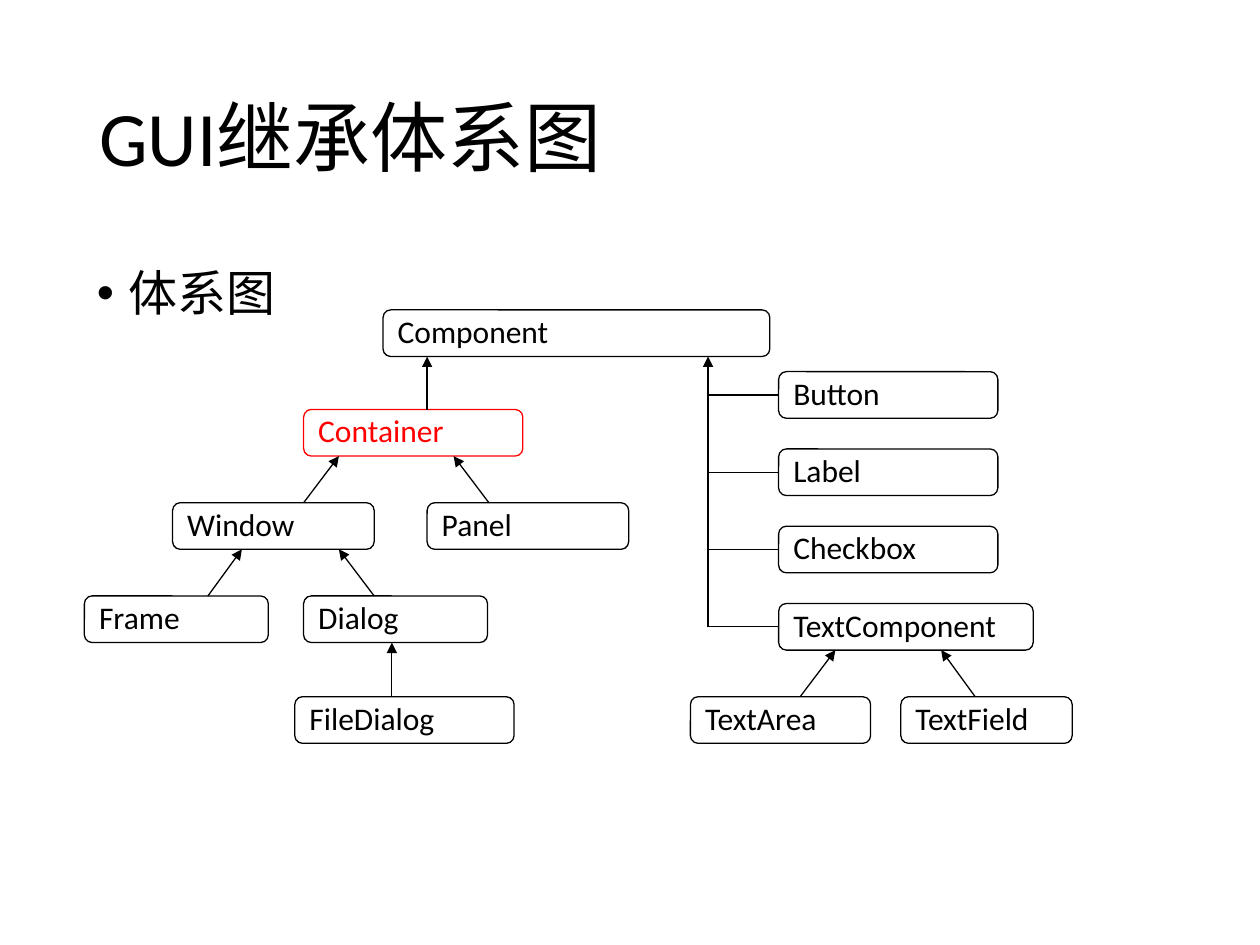
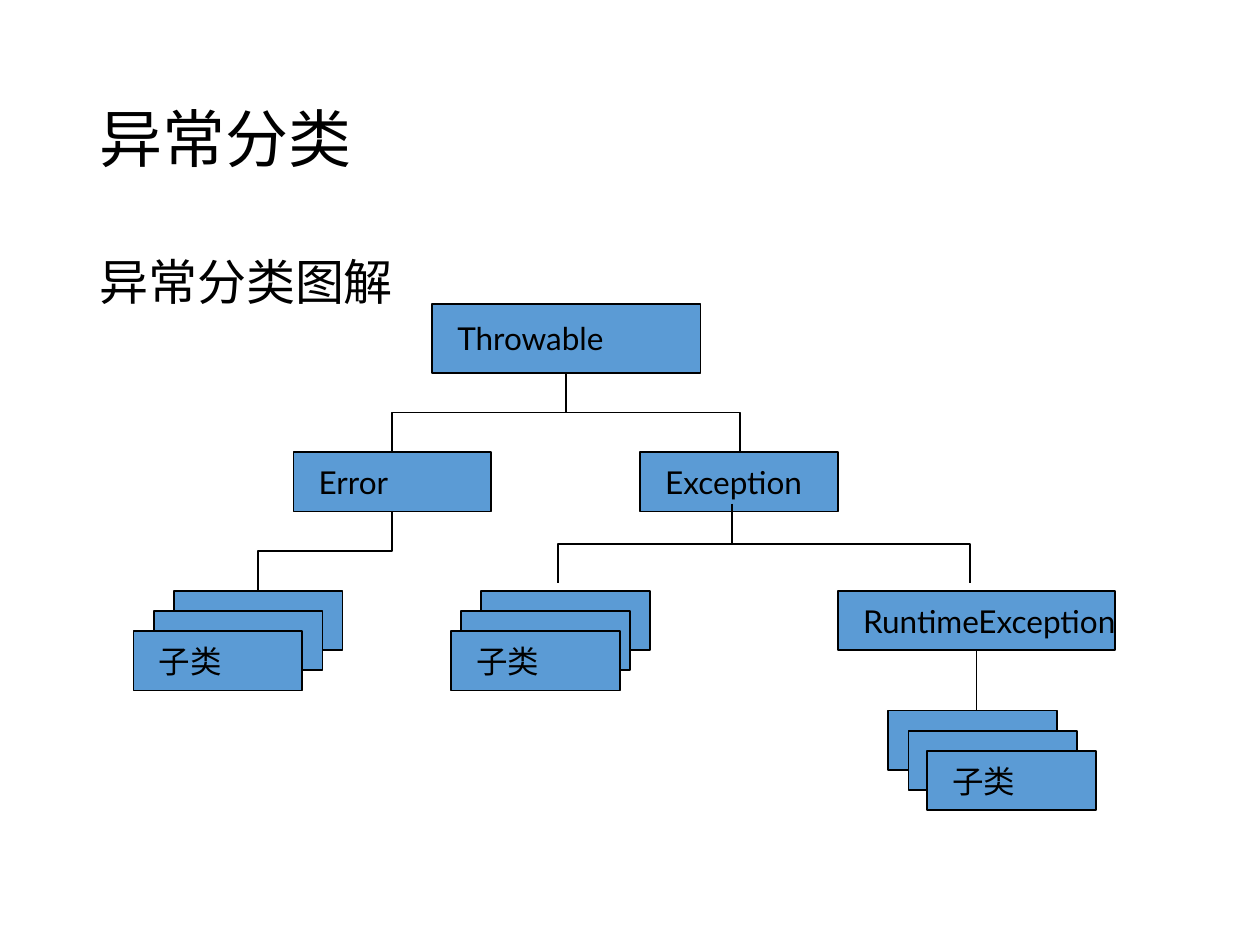
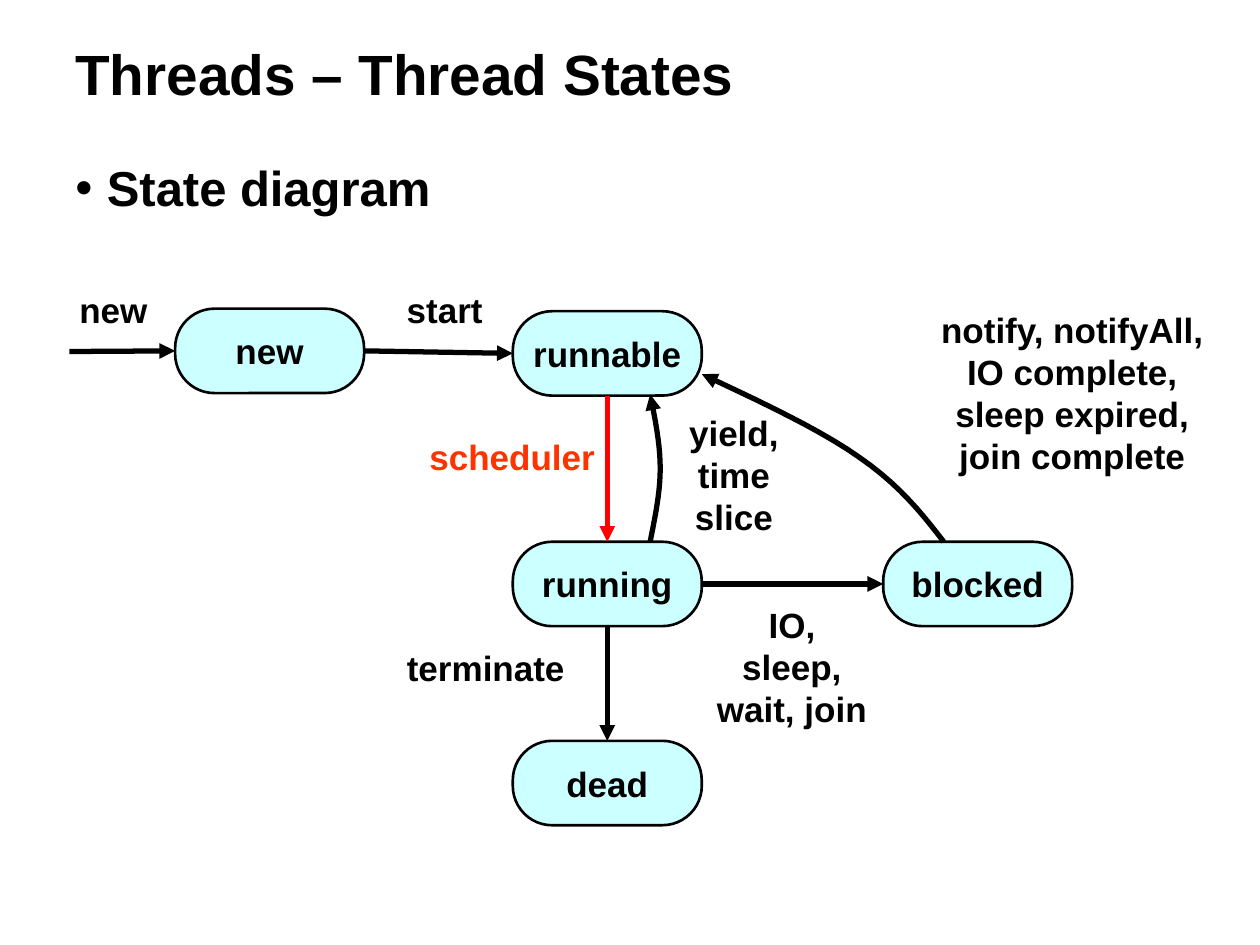
from dataclasses import dataclass
from typing import Any

from lxml.etree import SubElement
from pptx import Presentation
from pptx.dml.color import RGBColor
from pptx.enum.shapes import MSO_CONNECTOR, MSO_SHAPE
from pptx.enum.text import MSO_ANCHOR, PP_ALIGN
from pptx.oxml.ns import qn
from pptx.util import Inches, Pt

BLACK = RGBColor(0x00, 0x00, 0x00)
RED = RGBColor(0xFF, 0x00, 0x00)
ORANGE_RED = RGBColor(0xFF, 0x33, 0x00)
BLUE = RGBColor(0x5B, 0x9B, 0xD5)
PALE_CYAN = RGBColor(0xCC, 0xFF, 0xFF)

TOP, LEFT, BOTTOM, RIGHT = range(4)


@dataclass
class Region:
    """A part of a slide whose contents are placed from its top left corner."""

    slide: Any
    left: float
    top: float

    def spot(self, x, y):
        """Turn a place in the region, in inches, into a place on the slide."""
        return Inches(self.left + x), Inches(self.top + y)


def write(shape, lines, font, size, color=BLACK, bold=False, align=PP_ALIGN.LEFT,
          anchor=MSO_ANCHOR.MIDDLE, wrap=False, spacing=None, before=None):
    """Fill a shape with one paragraph per line."""
    frame = shape.text_frame
    frame.word_wrap = wrap
    frame.vertical_anchor = anchor
    for index, line in enumerate(lines):
        paragraph = frame.add_paragraph() if index else frame.paragraphs[0]
        paragraph.alignment = align
        paragraph.line_spacing = spacing
        paragraph.space_before = before
        run = paragraph.add_run()
        run.text = line
        run.font.name = font
        run.font.size = Pt(size)
        run.font.bold = bold
        run.font.color.rgb = color


def add_box(region, preset, box, fill, line_color, line_width):
    """Draw a preset shape at (left, top, width, height) in the region."""
    x, y, width, height = box
    shape = region.slide.shapes.add_shape(
        preset, *region.spot(x, y), Inches(width), Inches(height))
    shape.shadow.inherit = False
    if fill is None:
        shape.fill.background()
    else:
        shape.fill.solid()
        shape.fill.fore_color.rgb = fill
    shape.line.color.rgb = line_color
    shape.line.width = Pt(line_width)
    return shape


def style_line(stroke, width, color=BLACK, arrow=False):
    """Set colour, width and arrowhead of a connector or curve."""
    stroke.line.color.rgb = color
    stroke.line.width = Pt(width)
    properties = stroke.element.spPr
    if arrow:
        SubElement(properties.find(qn("a:ln")), qn("a:tailEnd"), type="triangle")
    if properties.find(qn("a:effectLst")) is None:
        SubElement(properties, qn("a:effectLst"))


def add_line(region, start, end, width, color=BLACK, arrow=False):
    """Draw a straight line; an end is a point or a (shape, side) pair."""
    places = [(0, 0) if hasattr(place[0], "shape_id") else region.spot(*place)
              for place in (start, end)]
    line = region.slide.shapes.add_connector(
        MSO_CONNECTOR.STRAIGHT, *places[0], *places[1])
    for place, join in ((start, line.begin_connect), (end, line.end_connect)):
        if hasattr(place[0], "shape_id"):
            join(*place)
    style_line(line, width, color, arrow)


def add_drop(region, start, end):
    """Draw an elbow that leaves downwards and arrives downwards."""
    (x1, y1), (x2, y2) = start, end
    middle_x, middle_y = (x1 + x2) / 2, (y1 + y2) / 2
    half_run = abs(x2 - x1) / 2
    half_fall = (y2 - y1) / 2 * (-1 if x2 > x1 else 1)
    elbow = region.slide.shapes.add_connector(
        MSO_CONNECTOR.ELBOW,
        *region.spot(middle_x - half_fall, middle_y - half_run),
        *region.spot(middle_x + half_fall, middle_y + half_run))
    quarter_turns = 3 if x2 > x1 else 1
    elbow.element.spPr.find(qn("a:xfrm")).set("rot", str(quarter_turns * 5400000))
    style_line(elbow, 1)


def bezier(p0, p1, p2, p3, steps=10):
    """List the points of a cubic curve after its start."""
    points = []
    for step in range(1, steps + 1):
        t = step / steps
        weights = ((1 - t) ** 3, 3 * t * (1 - t) ** 2, 3 * t * t * (1 - t), t ** 3)
        points.append(tuple(sum(w * p[axis] for w, p in zip(weights, (p0, p1, p2, p3)))
                            for axis in (0, 1)))
    return points


def add_curved_arrow(region, knots):
    """Draw an arrow along two joined cubic curves."""
    points = bezier(*knots[:4]) + bezier(*knots[3:])
    builder = region.slide.shapes.build_freeform(*region.spot(*knots[0]), scale=1.0)
    builder.add_line_segments([region.spot(*point) for point in points], close=False)
    curve = builder.convert_to_shape()
    curve.shadow.inherit = False
    curve.fill.background()
    style_line(curve, 3, arrow=True)


def add_heading(slide, box, text, font, size, bold=False):
    """Write the slide title."""
    title = slide.shapes.add_textbox(*map(Inches, box))
    write(title, [text], font, size, bold=bold, wrap=True, spacing=0.9)


def add_lead(slide, box, text, font, bold=False, bullet=True):
    """Write the line that introduces the diagram."""
    lead = slide.shapes.add_textbox(*map(Inches, box))
    write(lead, [text], font, 28, bold=bold, anchor=MSO_ANCHOR.TOP, wrap=True,
          spacing=0.9, before=Pt(10))
    if bullet:
        properties = lead.text_frame.paragraphs[0]._p.get_or_add_pPr()
        properties.set("marL", str(Inches(0.25)))
        properties.set("indent", str(-Inches(0.25)))
        SubElement(properties, qn("a:buFont"), typeface="Arial")
        SubElement(properties, qn("a:buChar"), char="•")


def draw_gui_hierarchy(region):
    """Draw the inheritance tree of the GUI classes."""
    def add_class(name, x, y, width, color=BLACK):
        """Draw one class box."""
        shape = add_box(region, MSO_SHAPE.ROUNDED_RECTANGLE, (x, y, width, 0.37),
                        None, color, 0.75)
        write(shape, [name], "Calibri", 18, color, spacing=0.9, before=Pt(4))
        return shape

    add_class("Component", 2.37, 0, 3.07)
    add_class("Container", 1.74, 0.79, 1.74, RED)
    for name, x, y, width in (
            ("Window", 0.7, 1.53, 1.6), ("Panel", 2.72, 1.53, 1.6),
            ("Frame", 0, 2.27, 1.46), ("Dialog", 1.74, 2.27, 1.46),
            ("FileDialog", 1.67, 3.07, 1.74),
            ("TextArea", 4.81, 3.07, 1.43), ("TextField", 6.48, 3.07, 1.36)):
        add_class(name, x, y, width)

    trunk_x = 4.95
    widgets = (("Button", 1.74), ("Label", 1.74), ("Checkbox", 1.74),
               ("TextComponent", 2.02))
    for row, (name, width) in enumerate(widgets):
        y = 0.49 + 1.84 * row / 3
        widget = add_class(name, 5.51, y, width)
        add_line(region, (trunk_x, y + 0.37 / 2), (widget, LEFT), 0.75)

    for start, end in (
            ((trunk_x, 2.52), (trunk_x, 0.37)), ((2.72, 0.79), (2.72, 0.37)),
            ((1.74, 1.53), (2.02, 1.16)), ((3.21, 1.53), (2.93, 1.16)),
            ((0.98, 2.27), (1.25, 1.9)), ((2.3, 2.27), (2.02, 1.9)),
            ((2.44, 3.07), (2.44, 2.64)),
            ((5.68, 3.07), (5.96, 2.7)), ((7.07, 3.07), (6.8, 2.7))):
        add_line(region, start, end, 0.75, arrow=True)


def draw_exception_tree(region):
    """Draw the classification of throwable classes."""
    def add_class(name, x, y, width, height=0.47):
        """Draw one class box, blank when it has no name."""
        shape = add_box(region, MSO_SHAPE.RECTANGLE, (x, y, width, height),
                        BLUE, BLACK, 1)
        if name:
            write(shape, [name], "Lato", 18)
            shape.text_frame.margin_left = shape.text_frame.margin_right = Inches(0.2)
        return shape

    add_class("Throwable", 2.37, 0, 2.13, 0.55)
    add_class("Error", 1.27, 1.18, 1.57)
    add_class("Exception", 4.02, 1.18, 1.57)
    runtime = add_class("RuntimeException", 5.59, 2.28, 2.2)

    for top, lefts in ((2.28, (0.32, 0.16, 0)), (2.28, (2.76, 2.6, 2.52)),
                       (3.23, (5.99, 6.15, 6.3))):
        for layer, (name, x) in enumerate(zip(("", "", "子类"), lefts)):
            add_class(name, x, top + 0.16 * layer, 1.34)

    for start, end in (
            ((3.43, 0.55), (2.05, 1.18)), ((3.43, 0.55), (4.81, 1.18)),
            ((2.05, 1.65), (0.99, 2.28)),
            ((4.75, 1.59), (3.37, 2.22)), ((4.75, 1.59), (6.64, 2.22))):
        add_drop(region, start, end)
    add_line(region, (runtime, BOTTOM), (6.69, 3.23), 1)


def draw_thread_states(region):
    """Draw the states of a thread and the moves between them."""
    states = {}
    for name, x, y in (("new", 0.86, 0.21), ("runnable", 3.54, 0.23),
                       ("running", 3.54, 2.06), ("blocked", 6.48, 2.06),
                       ("dead", 3.54, 3.64)):
        state = add_box(region, MSO_SHAPE.ROUNDED_RECTANGLE, (x, y, 1.5, 0.67),
                        PALE_CYAN, BLACK, 1.5)
        state.adjustments[0] = 0.466
        write(state, [name], "Arial", 20, bold=True, align=PP_ALIGN.CENTER)
        states[name] = state

    add_line(region, (0.02, 0.55), (states["new"], LEFT), 3, arrow=True)
    for origin, side, target, target_side, color in (
            ("new", RIGHT, "runnable", LEFT, BLACK),
            ("runnable", BOTTOM, "running", TOP, RED),
            ("running", RIGHT, "blocked", LEFT, BLACK),
            ("running", BOTTOM, "dead", TOP, BLACK)):
        add_line(region, (states[origin], side), (states[target], target_side),
                 3, color, arrow=True)

    add_curved_arrow(region, ((4.63, 2.06), (4.67, 1.86), (4.71, 1.67), (4.71, 1.48),
                              (4.71, 1.28), (4.67, 1.09), (4.63, 0.89)))
    add_curved_arrow(region, ((6.96, 2.06), (6.79, 1.84), (6.61, 1.61), (6.29, 1.39),
                              (5.98, 1.17), (5.51, 0.95), (5.04, 0.73)))

    for lines, x, y, width, height, color in (
            (["new"], 0, 0, 0.74, 0.43, BLACK),
            (["start"], 2.6, 0, 0.8, 0.43, BLACK),
            (["scheduler"], 2.73, 1.17, 1.61, 0.43, ORANGE_RED),
            (["terminate"], 2.57, 2.84, 1.51, 0.43, BLACK),
            (["IO, sleep,", "wait, join"], 5.05, 2.5, 1.41, 1.1, BLACK),
            (["yield,", "time slice"], 4.63, 0.98, 1.33, 1.1, BLACK),
            (["notify, notifyAll,", "IO complete, sleep expired,", "join complete"],
             6.76, 0.16, 2.44, 1.43, BLACK)):
        label = region.slide.shapes.add_textbox(
            *region.spot(x, y), Inches(width), Inches(height))
        write(label, lines, "Arial", 20, color, bold=True, align=PP_ALIGN.CENTER,
              anchor=MSO_ANCHOR.TOP, wrap=len(lines) > 1)


def main():
    """Build the three slides and save them."""
    deck = Presentation()
    deck.slide_width, deck.slide_height = Inches(10), Inches(7.5)
    blank = deck.slide_layouts[6]
    title_box = (0.69, 0.4, 8.62, 1.45)

    gui = deck.slides.add_slide(blank)
    add_heading(gui, title_box, "GUI继承体系图", "Calibri", 44)
    add_lead(gui, (0.67, 2.09, 8.62, 4.76), "体系图", "Calibri")
    draw_gui_hierarchy(Region(gui, 0.67, 2.46))

    exceptions = deck.slides.add_slide(blank)
    add_heading(exceptions, title_box, "异常分类", "Calibri", 36)
    add_lead(exceptions, (0.69, 2, 8.62, 4.76), "异常分类图解", "Calibri", bullet=False)
    draw_exception_tree(Region(exceptions, 1.06, 2.41))

    threads = deck.slides.add_slide(blank)
    add_heading(threads, (0.5, 0.3, 9, 0.62), "Threads – Thread States", "Arial", 32.4,
                bold=True)
    add_lead(threads, (0.5, 1.25, 9, 5.45), "State diagram", "Arial", bold=True)
    draw_thread_states(Region(threads, 0.53, 2.24))

    deck.save("out.pptx")


if __name__ == "__main__":
    main()
